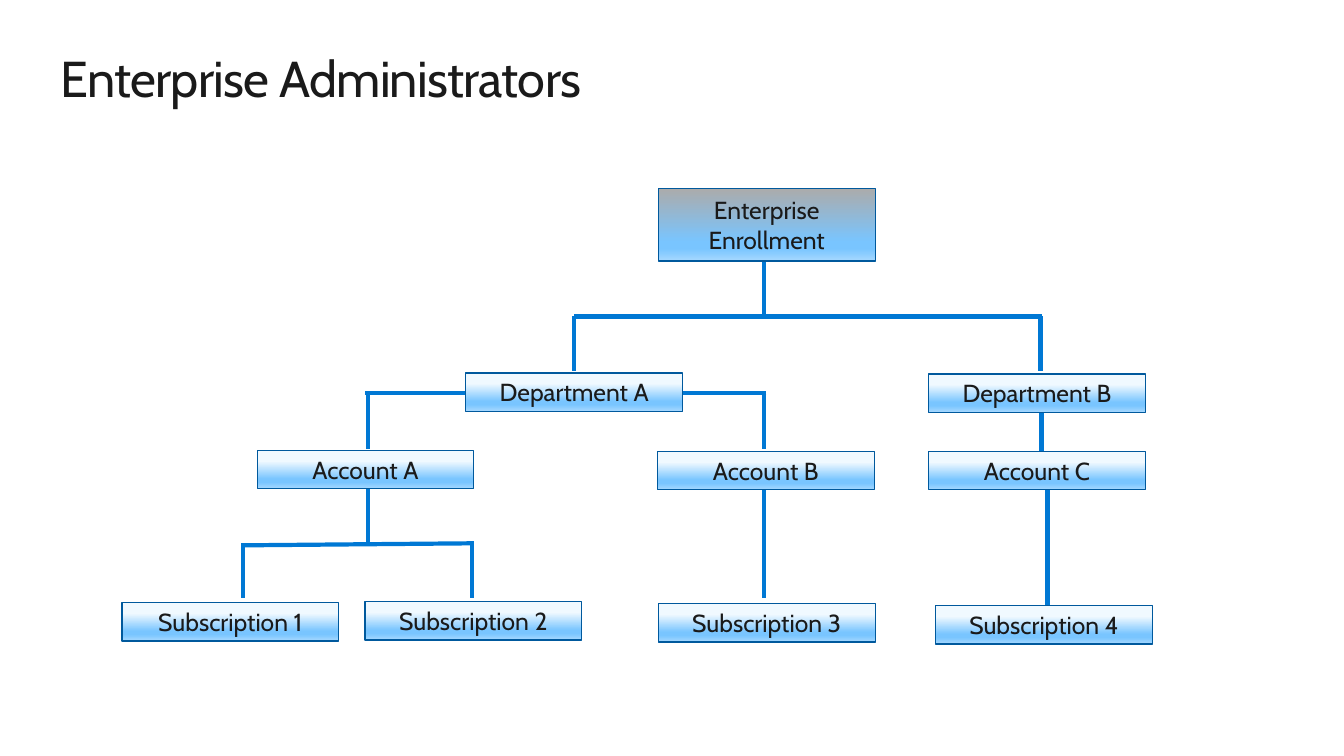
from dataclasses import dataclass
from typing import NamedTuple

from lxml.etree import SubElement
from pptx import Presentation
from pptx.dml.color import RGBColor
from pptx.enum.shapes import MSO_CONNECTOR, MSO_SHAPE
from pptx.enum.text import MSO_ANCHOR, MSO_AUTO_SIZE, PP_ALIGN
from pptx.oxml.ns import qn
from pptx.shapes.autoshape import Shape
from pptx.slide import Slide
from pptx.text.text import Font
from pptx.util import Inches, Pt

Stops = tuple[tuple[int, str], ...]


@dataclass(frozen=True)
class Theme:
    face: str = "Cabin"
    ink: str = "1A1A1A"
    edge: str = "00599D"
    wire: str = "0078D4"
    title: float = 36
    label: float = 17.6
    border: float = 0.85
    stroke: float = 3
    base: Stops = ((74, "79C5FF"), (83, "79C5FF"), (100, "A6D8FF"))
    root: Stops = ((0, "ABABAB"), *base)
    node: Stops = ((28, "F0F9FF"), *base)


THEME = Theme()
WIDTH = 2.15


class Node(NamedTuple):
    text: str
    left: float
    top: float
    height: float = 0.38
    stops: Stops = THEME.node


class Wire(NamedTuple):
    x1: float
    y1: float
    x2: float
    y2: float


NODES = [
    Node("Enterprise Enrollment", 6.53, 1.87, 0.72, THEME.root),
    Node("Department A", 4.62, 3.7),
    Node("Department B", 9.21, 3.71),
    Node("Account A", 2.55, 4.47),
    Node("Account B", 6.52, 4.48),
    Node("Account C", 9.21, 4.48),
    Node("Subscription 1", 1.21, 5.98),
    Node("Subscription 2", 3.62, 5.97),
    Node("Subscription 3", 6.53, 5.99),
    Node("Subscription 4", 9.28, 6.01),
]

WIRES = [
    # Enrollment to departments
    Wire(7.58, 2.59, 7.58, 3.14),
    Wire(10.33, 3.14, 5.69, 3.14),
    Wire(5.69, 3.14, 5.69, 3.68),
    Wire(10.32, 3.14, 10.32, 3.68),
    # Departments to accounts
    Wire(7.6, 3.9, 3.62, 3.9),
    Wire(3.65, 3.9, 3.65, 4.45),
    Wire(7.58, 3.9, 7.58, 4.45),
    Wire(10.33, 4.08, 10.33, 4.62),
    # Accounts to subscriptions
    Wire(3.65, 4.85, 3.65, 5.39),
    Wire(4.7, 5.39, 2.43, 5.41),
    Wire(2.41, 5.39, 2.41, 5.93),
    Wire(4.68, 5.39, 4.68, 5.93),
    Wire(7.58, 4.84, 7.58, 5.93),
    Wire(10.39, 4.86, 10.39, 6.15),
]


def style(font: Font, size: float) -> None:
    font.name = THEME.face
    font.size = Pt(size)
    font.color.rgb = RGBColor.from_string(THEME.ink)


def shade(shape: Shape, stops: Stops) -> None:
    """Fill the shape from top to bottom with any number of stops."""
    shape.fill.gradient()
    shape.fill.gradient_angle = 270
    ramp = shape._element.spPr.find(qn("a:gradFill")).find(qn("a:gsLst"))
    ramp.clear()
    for pos, tint in stops:
        stop = SubElement(ramp, qn("a:gs"), pos=str(pos * 1000))
        SubElement(stop, qn("a:srgbClr"), val=tint)


def add_title(slide: Slide, text: str) -> None:
    title = slide.shapes.title
    title.left, title.top = Inches(0.6), Inches(0.47)
    title.width, title.height = Inches(12.05), Inches(0.61)
    frame = title.text_frame
    frame.text = text
    frame.margin_left = frame.margin_right = 0
    frame.margin_top = frame.margin_bottom = 0
    frame.vertical_anchor = MSO_ANCHOR.TOP
    frame.word_wrap = True
    frame.auto_size = MSO_AUTO_SIZE.SHAPE_TO_FIT_TEXT
    line = frame.paragraphs[0]
    line.alignment = PP_ALIGN.LEFT
    run = line.runs[0]
    style(run.font, THEME.title)
    run._r.get_or_add_rPr().set("spc", "-50")


def add_wire(slide: Slide, wire: Wire) -> None:
    link = slide.shapes.add_connector(
        MSO_CONNECTOR.STRAIGHT, *(Inches(end) for end in wire))
    link.line.color.rgb = RGBColor.from_string(THEME.wire)
    link.line.width = Pt(THEME.stroke)
    SubElement(link._element.spPr, qn("a:effectLst"))


def add_node(slide: Slide, node: Node) -> None:
    box = slide.shapes.add_shape(
        MSO_SHAPE.RECTANGLE, Inches(node.left), Inches(node.top),
        Inches(WIDTH), Inches(node.height))
    box.shadow.inherit = False
    shade(box, node.stops)
    box.line.color.rgb = RGBColor.from_string(THEME.edge)
    box.line.width = Pt(THEME.border)
    frame = box.text_frame
    frame.text = node.text
    frame.word_wrap = True
    frame.vertical_anchor = MSO_ANCHOR.MIDDLE
    line = frame.paragraphs[0]
    line.alignment = PP_ALIGN.CENTER
    style(line.runs[0].font, THEME.label)


def main() -> None:
    deck = Presentation()
    deck.slide_width, deck.slide_height = Inches(13.33), Inches(7.5)
    slide = deck.slides.add_slide(deck.slide_layouts.get_by_name("Title Only"))
    add_title(slide, "Enterprise Administrators")
    for wire in WIRES:
        add_wire(slide, wire)
    for node in NODES:
        add_node(slide, node)
    deck.save("out.pptx")


if __name__ == "__main__":
    main()
